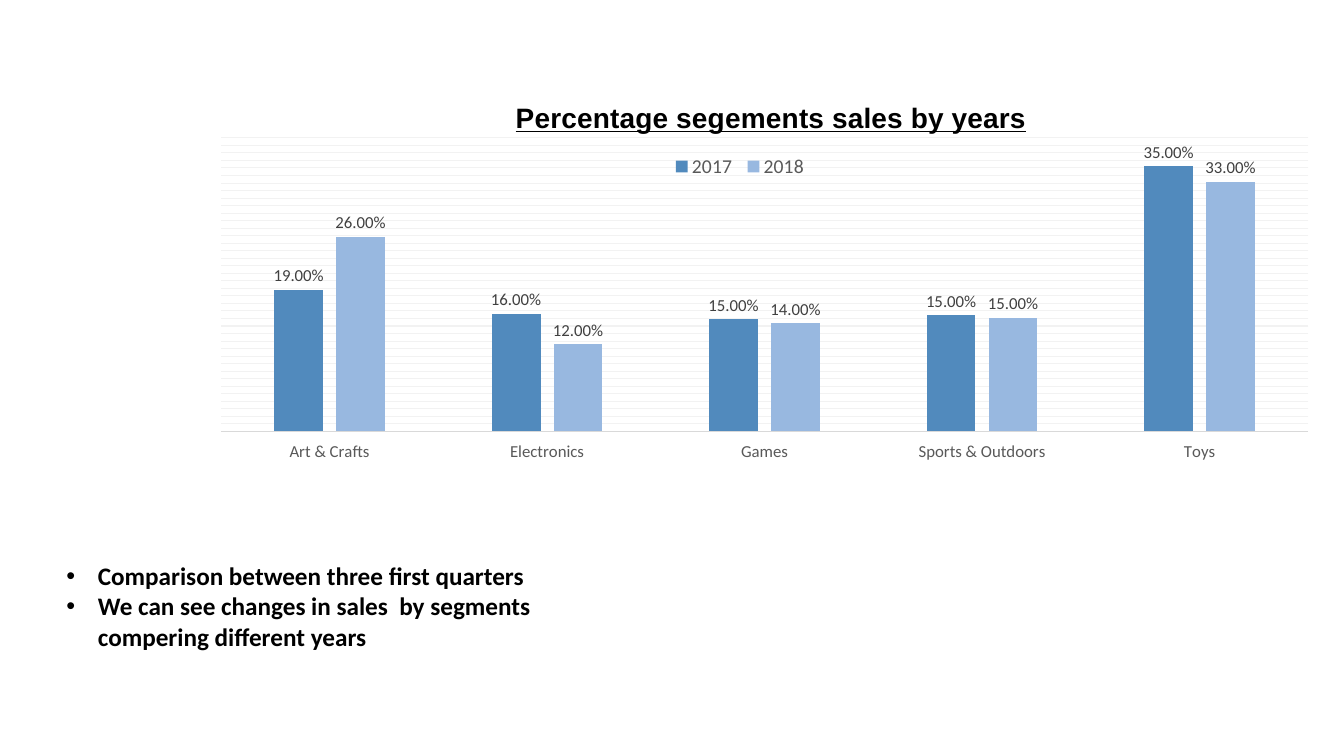
from lxml import etree
from pptx import Presentation
from pptx.chart.data import CategoryChartData
from pptx.dml.color import RGBColor
from pptx.enum.chart import XL_CHART_TYPE, XL_LABEL_POSITION, XL_LEGEND_POSITION, XL_TICK_LABEL_POSITION, XL_TICK_MARK
from pptx.enum.text import MSO_AUTO_SIZE
from pptx.oxml.ns import qn
from pptx.util import Pt

COLUMNS = XL_CHART_TYPE.COLUMN_CLUSTERED
OUTSIDE_END = XL_LABEL_POSITION.OUTSIDE_END
BOTTOM = XL_LEGEND_POSITION.BOTTOM
LOW = XL_TICK_LABEL_POSITION.LOW
NO_TICK = XL_TICK_MARK.NONE
GROW = MSO_AUTO_SIZE.SHAPE_TO_FIT_TEXT

COLORS = {
    "black": "000000",
    "label": "404040",
    "axis_text": "595959",
    "axis_line": "D9D9D9",
    "gridline": "F2F2F2",
    "2017": "518ABD",
    "2018": "98B8E0",
}
SEGMENTS = ["Art & Crafts", "Electronics", "Games", "Sports & Outdoors", "Toys"]
SALES = {
    "2017": [0.1881, 0.1566, 0.1488, 0.1543, 0.3522],
    "2018": [0.2584, 0.1158, 0.1434, 0.1512, 0.3312],
}
NOTES = [
    "Comparison between three first quarters",
    "We can see changes in sales  by segments compering different years",
]


def style_font(font, size, color, name="Calibri", bold=False):
    font.size = Pt(size)
    font.name = name
    font.bold = bold
    font.color.rgb = RGBColor.from_string(COLORS[color])


def place(parent, index, **settings):
    for previous in parent.findall(qn("c:layout")):
        parent.remove(previous)
    layout = etree.Element(qn("c:layout"))
    manual = etree.SubElement(layout, qn("c:manualLayout"))
    for tag, value in settings.items():
        etree.SubElement(manual, qn(f"c:{tag}")).set("val", str(value))
    parent.insert(index, layout)


presentation = Presentation()
presentation.slide_width = Pt(960)
presentation.slide_height = Pt(540)
slide = presentation.slides.add_slide(presentation.slide_layouts[6])

chart_data = CategoryChartData(number_format="0.00%")
chart_data.categories = SEGMENTS
for year, values in SALES.items():
    chart_data.add_series(year, values)
chart = slide.shapes.add_chart(COLUMNS, Pt(149), Pt(55.4), Pt(799.2), Pt(310.3), chart_data).chart
style_font(chart.font, 10, "black")

chart.has_title = True
title_paragraph = chart.chart_title.text_frame.paragraphs[0]
title_paragraph.text = "Percentage segements sales by years"
style_font(title_paragraph.font, 20, "black", "Arial", True)
title_paragraph.font.underline = True
place(chart.chart_title._element, 1, xMode="edge", yMode="edge", x=0.27, y=0.04)

chart.has_legend = True
chart.legend.position = BOTTOM
chart.legend.include_in_layout = False
style_font(chart.legend.font, 14, "axis_text")
place(chart.legend._element, 1, xMode="edge", yMode="edge", x=0.41, y=0.17, w=0.13, h=0.07)

plot = chart.plots[0]
plot.gap_width = 219
plot.overlap = -27
plot.vary_by_categories = False
plot_area = plot._element.getparent()
place(plot_area, 0, layoutTarget="inner", xMode="edge", yMode="edge", x=0.011, y=0.139, w=0.972, h=0.676)

category_axis = chart.category_axis
category_axis.major_tick_mark = NO_TICK
category_axis.tick_label_position = LOW
category_axis.format.line.width = Pt(0.75)
category_axis.format.line.color.rgb = RGBColor.from_string(COLORS["axis_line"])
style_font(category_axis.tick_labels.font, 12, "axis_text")

value_axis = chart.value_axis
value_axis.visible = False
value_axis.minimum_scale = 0
value_axis.maximum_scale = 0.39
value_axis.major_unit = 0.01
value_axis.has_major_gridlines = True
value_axis.major_gridlines.format.line.width = Pt(0.75)
value_axis.major_gridlines.format.line.color.rgb = RGBColor.from_string(COLORS["gridline"])

for series in plot.series:
    series.format.fill.solid()
    series.format.fill.fore_color.rgb = RGBColor.from_string(COLORS[series.name])
    labels = series.data_labels
    labels.show_value = True
    labels.position = OUTSIDE_END
    labels.number_format = "0.00%"
    labels.number_format_is_linked = False
    style_font(labels.font, 12, "label")
    for index, value in enumerate(series.values):
        label = series.points[index].data_label
        label_paragraph = label.text_frame.paragraphs[0]
        label_run = label_paragraph.add_run()
        label_run.text = f"{round(value, 2):.2%}"
        style_font(label_run.font, 12, "label")
        label.position = OUTSIDE_END

notes_box = slide.shapes.add_textbox(Pt(40.3), Pt(396.7), Pt(370.8), Pt(94.3))
notes_frame = notes_box.text_frame
notes_frame.word_wrap = True
notes_frame.auto_size = GROW
for index, note in enumerate(NOTES):
    paragraph = notes_frame.add_paragraph() if index else notes_frame.paragraphs[0]
    paragraph.text = note
    style_font(paragraph.font, 18, "black", bold=True)
    properties = paragraph._p.get_or_add_pPr()
    properties.set("marL", str(Pt(22.5)))
    properties.set("indent", str(-Pt(22.5)))
    bullet_font = etree.Element(qn("a:buFont"), typeface="Arial")
    bullet = etree.Element(qn("a:buChar"), char="•")
    properties.insert(0, bullet_font)
    properties.insert(1, bullet)

presentation.save("out.pptx")
